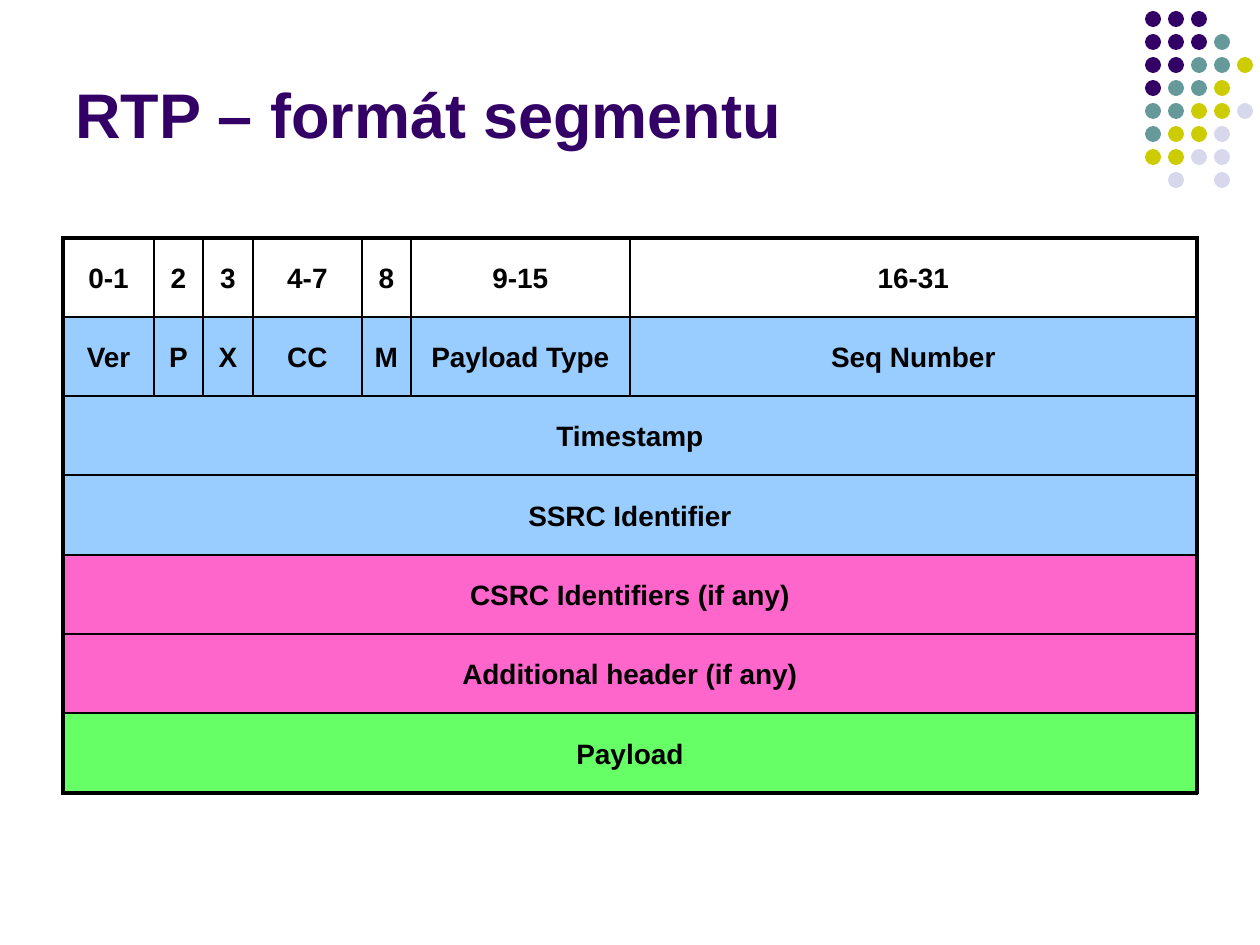
from lxml.etree import SubElement
from pptx import Presentation
from pptx.dml.color import RGBColor
from pptx.enum.shapes import MSO_SHAPE
from pptx.enum.text import MSO_ANCHOR, PP_ALIGN
from pptx.oxml.ns import qn
from pptx.util import Emu, Pt

PIXELS_PER_INCH = 126


def px(value):
    return Emu(round(value * 914400 / PIXELS_PER_INCH))


def color(value):
    return RGBColor.from_string(value)


presentation = Presentation()
presentation.slide_width = px(1260)
presentation.slide_height = px(945)
slide = presentation.slides.add_slide(presentation.slide_layouts[6])

# Dot pattern in the top right corner
dot_colors = {"P": "330066", "T": "669999", "Y": "CCCC00", "L": "D8D8EC"}
dot_rows = ["PPP", "PPPT", "PPTTY", "PTTY", "TTYYL", "TYYL", "YYLL", " L L"]
dots = slide.shapes.add_group_shape()
for row, pattern in enumerate(dot_rows):
    for column, key in enumerate(pattern):
        if key == " ":
            continue
        dot = dots.shapes.add_shape(
            MSO_SHAPE.OVAL, px(1145 + 23 * column), px(11 + 23 * row), px(16), px(16))
        dot.shadow.inherit = False
        dot.fill.solid()
        dot.fill.fore_color.rgb = color(dot_colors[key])
        dot.line.fill.background()

# Title
title = slide.shapes.add_textbox(px(63), px(16), px(1071), px(141))
title.text_frame.word_wrap = True
title.text_frame.vertical_anchor = MSO_ANCHOR.BOTTOM
title.text_frame.text = "RTP – formát segmentu"
font = title.text_frame.paragraphs[0].runs[0].font
font.name, font.size, font.bold = "Arial", Pt(36), True
font.color.rgb = color("330066")

# Segment table: text of each row and its fill
segment_rows = [
    (["0-1", "2", "3", "4-7", "8", "9-15", "16-31"], None),
    (["Ver", "P", "X", "CC", "M", "Payload Type", "Seq Number"], "99CCFF"),
    (["Timestamp"], "99CCFF"),
    (["SSRC Identifier"], "99CCFF"),
    (["CSRC Identifiers (if any)"], "FF66CC"),
    (["Additional header (if any)"], "FF66CC"),
    (["Payload"], "66FF66"),
]
column_widths = [91, 49, 50, 109, 49, 219, 567]
row_heights = [79, 79, 79, 80, 79, 79, 80]
last_row, last_column = len(row_heights) - 1, len(column_widths) - 1

table = slide.shapes.add_table(
    len(row_heights), len(column_widths), px(63), px(238),
    px(sum(column_widths)), px(sum(row_heights))).table
table.first_row = False
table.horz_banding = False
for column, width in enumerate(column_widths):
    table.columns[column].width = px(width)

for row, (texts, fill) in enumerate(segment_rows):
    table.rows[row].height = px(row_heights[row])
    merged = len(texts) == 1
    if merged:
        table.cell(row, 0).merge(table.cell(row, last_column))

    # Borders: thick around the table, thin inside
    for column in range(last_column + 1):
        cell = table.cell(row, column)
        outer_edges = {
            "a:lnL": column == 0,
            "a:lnR": column == last_column or merged,
            "a:lnT": row == 0,
            "a:lnB": row == last_row,
        }
        properties = cell._tc.get_or_add_tcPr()
        for edge, outer in outer_edges.items():
            line = SubElement(properties, qn(edge), w=str(Pt(2.25 if outer else 1)))
            line_fill = SubElement(line, qn("a:solidFill"))
            SubElement(line_fill, qn("a:srgbClr"), val="000000")
        if fill:
            cell.fill.solid()
            cell.fill.fore_color.rgb = color(fill)
        else:
            cell.fill.background()

    # Text
    for column, text in enumerate(texts):
        cell = table.cell(row, column)
        cell.vertical_anchor = MSO_ANCHOR.MIDDLE
        cell.text_frame.text = text
        paragraph = cell.text_frame.paragraphs[0]
        paragraph.alignment = PP_ALIGN.CENTER
        paragraph.line_spacing = 1.1
        font = paragraph.runs[0].font
        font.name, font.size, font.bold = "Arial", Pt(16), True
        font.color.rgb = color("000000")

presentation.save("out.pptx")
